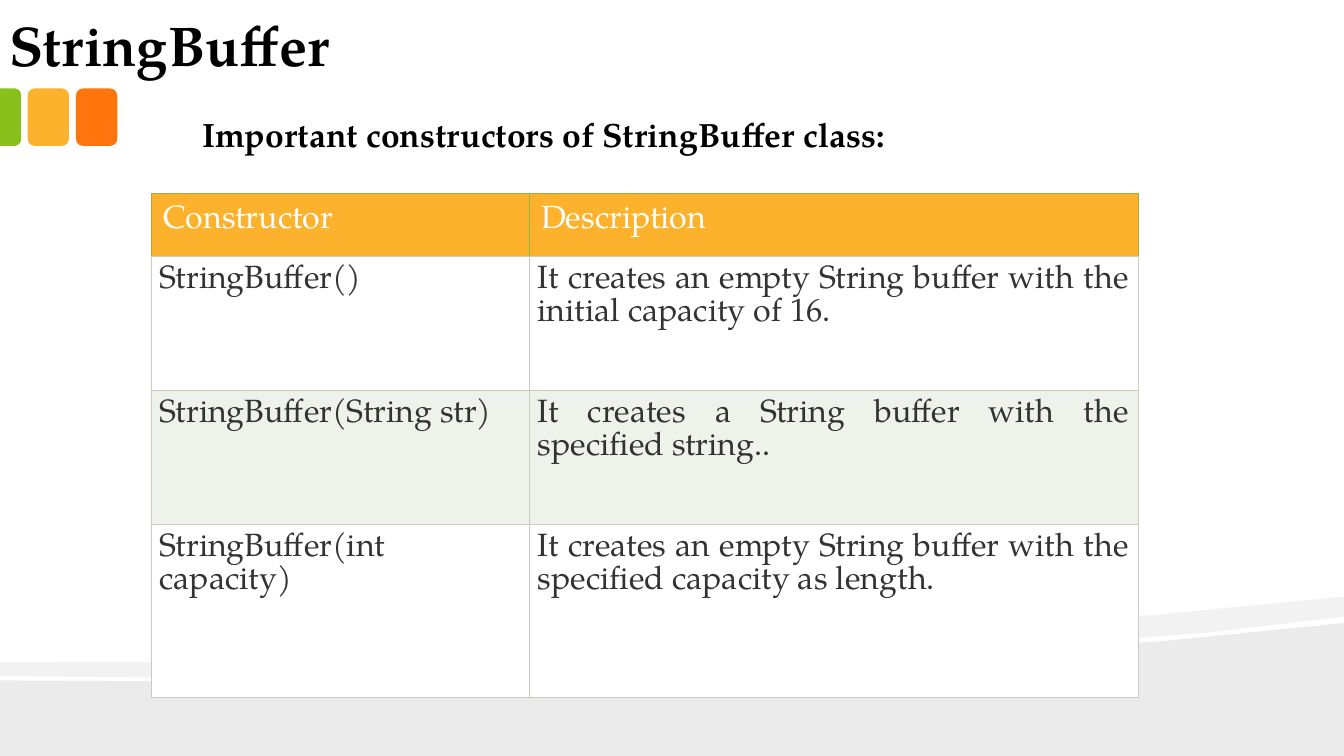
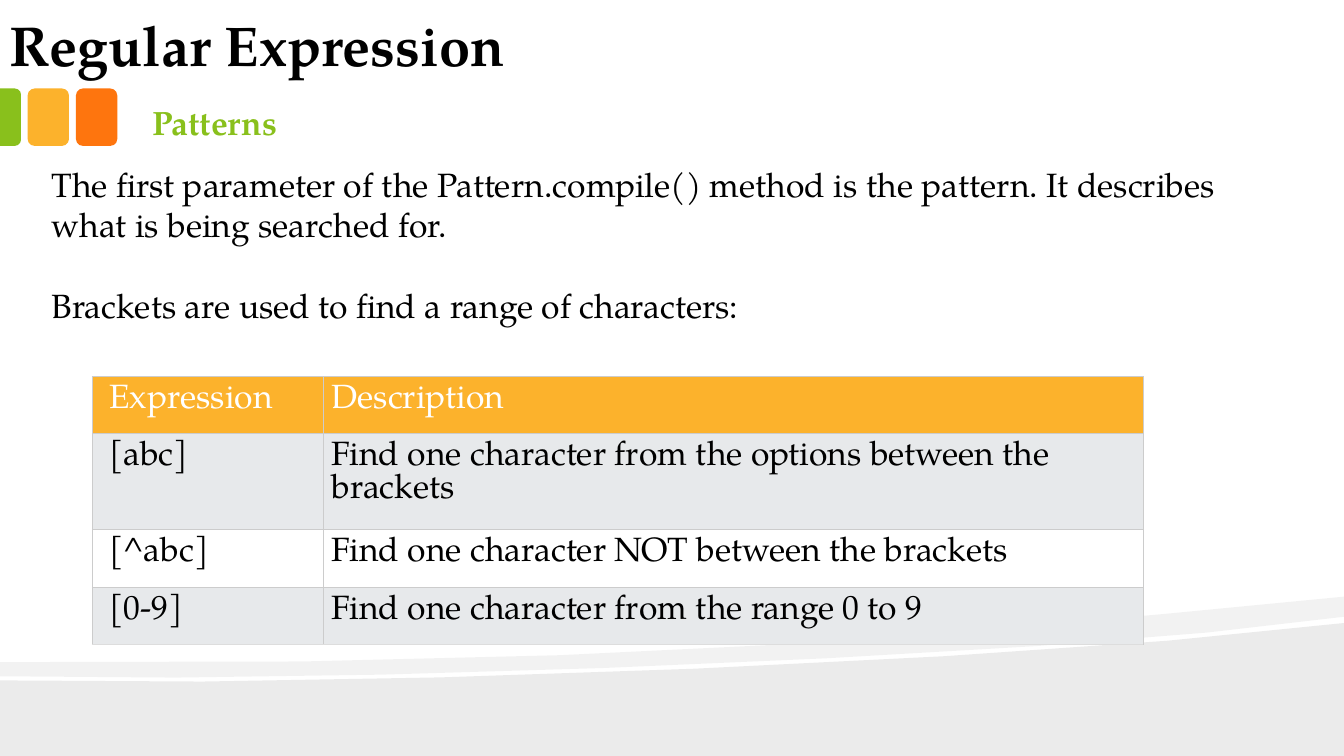
from lxml.etree import SubElement
from pptx import Presentation
from pptx.dml.color import RGBColor
from pptx.enum.shapes import MSO_SHAPE
from pptx.enum.text import MSO_ANCHOR, MSO_AUTO_SIZE, PP_ALIGN
from pptx.oxml import parse_xml
from pptx.oxml.ns import nsdecls, qn
from pptx.util import Pt

FONT = "TeX Gyre Pagella"
BLACK, WHITE, DARK = "000000", "FFFFFF", "333333"
ORANGE, YELLOW, GREEN = "FE750E", "FCB22C", "89C01C"
SLIDE_WIDTH, SLIDE_HEIGHT = 960, 540


def color(hex_code):
    """Turn a hex string into a colour."""
    return RGBColor.from_string(hex_code)


def paint(shape, hex_code, opacity=100):
    """Fill a shape without line or shadow, at a percentage of opacity."""
    shape.shadow.inherit = False
    shape.line.fill.background()
    shape.fill.solid()
    shape.fill.fore_color.rgb = color(hex_code)
    if opacity < 100:
        tint = shape.element.spPr.find(qn("a:solidFill"))[0]
        SubElement(tint, qn("a:alpha")).set("val", str(opacity * 1000))


def style(paragraph, size, hex_code, bold=False, align=PP_ALIGN.LEFT):
    """Set the font and alignment of a paragraph."""
    font = paragraph.font
    font.name, font.size, font.bold = FONT, Pt(size), bold
    font.color.rgb = color(hex_code)
    paragraph.alignment = align


def curve(start, bend_out, bend_in, end, steps):
    """Return points along a cubic curve."""
    points = []
    for step in range(steps + 1):
        t = step / steps
        weights = ((1 - t) ** 3, 3 * t * (1 - t) ** 2, 3 * t * t * (1 - t), t ** 3)
        corners = (start, bend_out, bend_in, end)
        points.append(tuple(sum(w * c[axis] for w, c in zip(weights, corners))
                            for axis in (0, 1)))
    return points


def add_wave(slide, outline, opacity):
    """Draw a translucent closed outline."""
    points = [(Pt(x), Pt(y)) for x, y in outline]
    builder = slide.shapes.build_freeform(*points[0], scale=1.0)
    builder.add_line_segments(points[1:], close=True)
    wave = builder.convert_to_shape()
    paint(wave, BLACK, opacity)
    return wave


def add_waves(slide):
    """Draw the two waves along the foot of the slide."""
    ground = curve((0, 486), (253.4, 491.8), (750.2, 471.6), (SLIDE_WIDTH, 445), 6)
    ground += [(SLIDE_WIDTH, SLIDE_HEIGHT), (0, SLIDE_HEIGHT)]
    ribbon = curve((0, 473), (469.4, 476.6), (699.1, 451.4), (SLIDE_WIDTH, 426.2), 6)
    ribbon += curve((SLIDE_WIDTH, 440.6), (903.6, 448.6), (827.3, 455.8), (740.9, 461.5), 2)
    ribbon += curve((740.9, 461.5), (502.6, 477.4), (185.8, 487.4), (0, 483.1), 5)[1:]
    return [add_wave(slide, ground, 8), add_wave(slide, ribbon, 5)]


def add_tabs(slide, top=63.25, width=29.5, height=41, pitch=34.5):
    """Draw the three coloured tabs at the left edge."""
    tabs = []
    for place, hex_code in ((1, ORANGE), (0, YELLOW)):
        tab = slide.shapes.add_shape(MSO_SHAPE.ROUNDED_RECTANGLE, Pt(19.75 + place * pitch),
                                     Pt(top), Pt(width), Pt(height))
        paint(tab, hex_code)
        tabs.append(tab)
    depth = 15
    edge_tab = slide.shapes.add_shape(
        MSO_SHAPE.ROUND_2_SAME_RECTANGLE, Pt((depth - height) / 2),
        Pt(top + (height - depth) / 2), Pt(height), Pt(depth))
    edge_tab.rotation = 90
    edge_tab.adjustments[0] = 0.29
    paint(edge_tab, GREEN)
    return tabs + [edge_tab]


def decorate_layout(layout, slide):
    """Leave only the title on the layout and move the decoration there from a slide."""
    for holder in list(layout.placeholders)[1:]:
        layout.shapes.element.remove(holder.element)
    for order, part in enumerate(add_waves(slide) + add_tabs(slide)):
        part.element.xpath(".//p:cNvPr")[0].set("id", str(100 + order))
        layout.shapes.element.insert(2 + order, part.element)


def set_title(slide, wording, width):
    """Place and format the slide title."""
    title = slide.shapes.title
    title.left, title.top, title.width, title.height = Pt(-2.75), Pt(0), Pt(width), Pt(60)
    frame = title.text_frame
    frame.text = wording
    frame.auto_size = MSO_AUTO_SIZE.NONE
    frame.vertical_anchor = MSO_ANCHOR.BOTTOM
    frame.margin_left = frame.margin_right = Pt(9.5)
    frame.margin_top, frame.margin_bottom = Pt(5), Pt(4.5)
    style(frame.paragraphs[0], 40, BLACK, bold=True)


def add_text(slide, box, lines, hex_code=BLACK, bold=False, gap=0):
    """Add paragraphs in a text box, with a gap after each but the last."""
    frame = slide.shapes.add_textbox(*map(Pt, box)).text_frame
    frame.word_wrap = True
    frame.text = "\n".join(lines)
    for paragraph in frame.paragraphs:
        style(paragraph, 24, hex_code, bold)
    for paragraph in frame.paragraphs[:-1]:
        paragraph.space_after = Pt(gap)


def set_borders(cell, edges):
    """Draw the cell borders from colours keyed by side."""
    properties = cell._tc.get_or_add_tcPr()
    for order, side in enumerate("LRTB"):
        properties.insert(order, parse_xml(
            f'<a:ln{side} {nsdecls("a")} w="9525"><a:solidFill>'
            f'<a:srgbClr val="{edges[side]}"/></a:solidFill></a:ln{side}>'))


def fill_cell(cell, wording, fill, margins, size, hex_code, align):
    """Write and format one table cell."""
    cell.fill.solid()
    cell.fill.fore_color.rgb = color(fill)
    cell.margin_left, cell.margin_top, cell.margin_right, cell.margin_bottom = map(Pt, margins)
    cell.text = wording
    paragraph = cell.text_frame.paragraphs[0]
    style(paragraph, size, hex_code, align=align)
    paragraph.line_spacing = Pt(23.5)


def add_grid(slide, corner, widths, heights, rows, bands, border, size, ink,
             header_border=None, foot_border=None, header_margin=6, first_indent=6,
             align=PP_ALIGN.LEFT):
    """Add a table with a yellow header and alternating row fills."""
    grid = slide.shapes.add_table(len(rows), len(widths), *map(Pt, corner),
                                  Pt(sum(widths)), Pt(sum(heights))).table
    grid.first_row = grid.horz_banding = False
    for column, width in zip(grid.columns, widths):
        column.width = Pt(width)
    for r, (row, height) in enumerate(zip(rows, heights)):
        grid.rows[r].height = Pt(height)
        header = r == 0
        margin = header_margin if header else 6
        edges = dict.fromkeys("LRT", header_border or border if header else border)
        edges["B"] = foot_border or border if r == len(rows) - 1 else border
        for c, wording in enumerate(row):
            indent = max(margin, first_indent) if c == 0 else margin
            cell = grid.cell(r, c)
            fill_cell(cell, wording, YELLOW if header else bands[(r - 1) % 2],
                      (indent, margin, margin, margin), size,
                      WHITE if header else ink, PP_ALIGN.LEFT if header else align)
            set_borders(cell, edges)


def build_constructors(slide):
    """Fill the slide on StringBuffer constructors."""
    set_title(slide, "StringBuffer", 747)
    add_grid(slide, (108, 138), (270, 435), (45, 96, 95.5, 123.5), [
        ("Constructor", "Description"),
        ("StringBuffer()",
         "It creates an empty String buffer with the initial capacity of 16."),
        ("StringBuffer(String str)",
         "It creates a String buffer with the specified string.."),
        ("StringBuffer(int capacity)",
         "It creates an empty String buffer with the specified capacity as length."),
    ], (WHITE, "EFF1EB"), "C7CCBE", 23, DARK, header_border="98B33B",
        header_margin=8.5, align=PP_ALIGN.JUSTIFY)
    add_text(slide, (137.75, 78, 525, 36),
             ["Important constructors of StringBuffer class:"], bold=True)


def build_patterns(slide):
    """Fill the slide on regular expression patterns."""
    set_title(slide, "Regular Expression", 962)
    add_text(slide, (101.75, 69, 858, 36), ["Patterns"], GREEN, bold=True)
    add_text(slide, (29.75, 113.5, 882, 124), [
        "The first parameter of the Pattern.compile() method is the pattern. "
        "It describes what is being searched for.",
        "Brackets are used to find a range of characters:",
    ], gap=29)
    add_grid(slide, (66, 269), (165, 585.5), (40.5, 69, 41, 41), [
        ("Expression", "Description"),
        ("[abc]", "Find one character from the options between the brackets"),
        ("[^abc]", "Find one character NOT between the brackets"),
        ("[0-9]", "Find one character from the range 0 to 9"),
    ], ("E7E9EB", WHITE), "CCCCCC", 24, BLACK, foot_border="DDDDDD", first_indent=12)


def main():
    """Build and save the presentation."""
    deck = Presentation()
    deck.slide_width, deck.slide_height = Pt(SLIDE_WIDTH), Pt(SLIDE_HEIGHT)
    layout = deck.slide_layouts.get_by_name("Title Only")
    constructors, patterns = (deck.slides.add_slide(layout) for _ in range(2))
    decorate_layout(layout, constructors)
    build_constructors(constructors)
    build_patterns(patterns)
    deck.save("out.pptx")


main()
